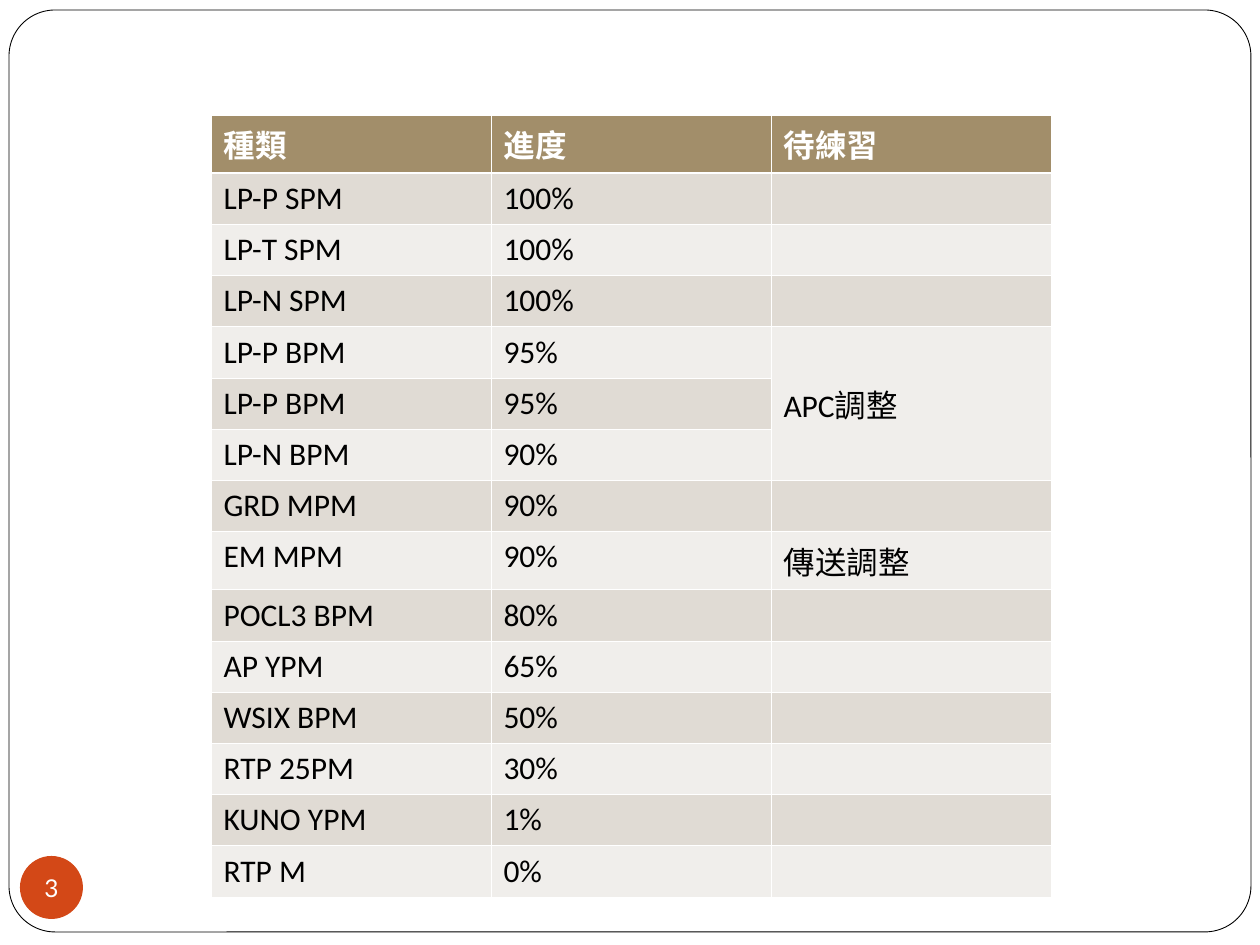
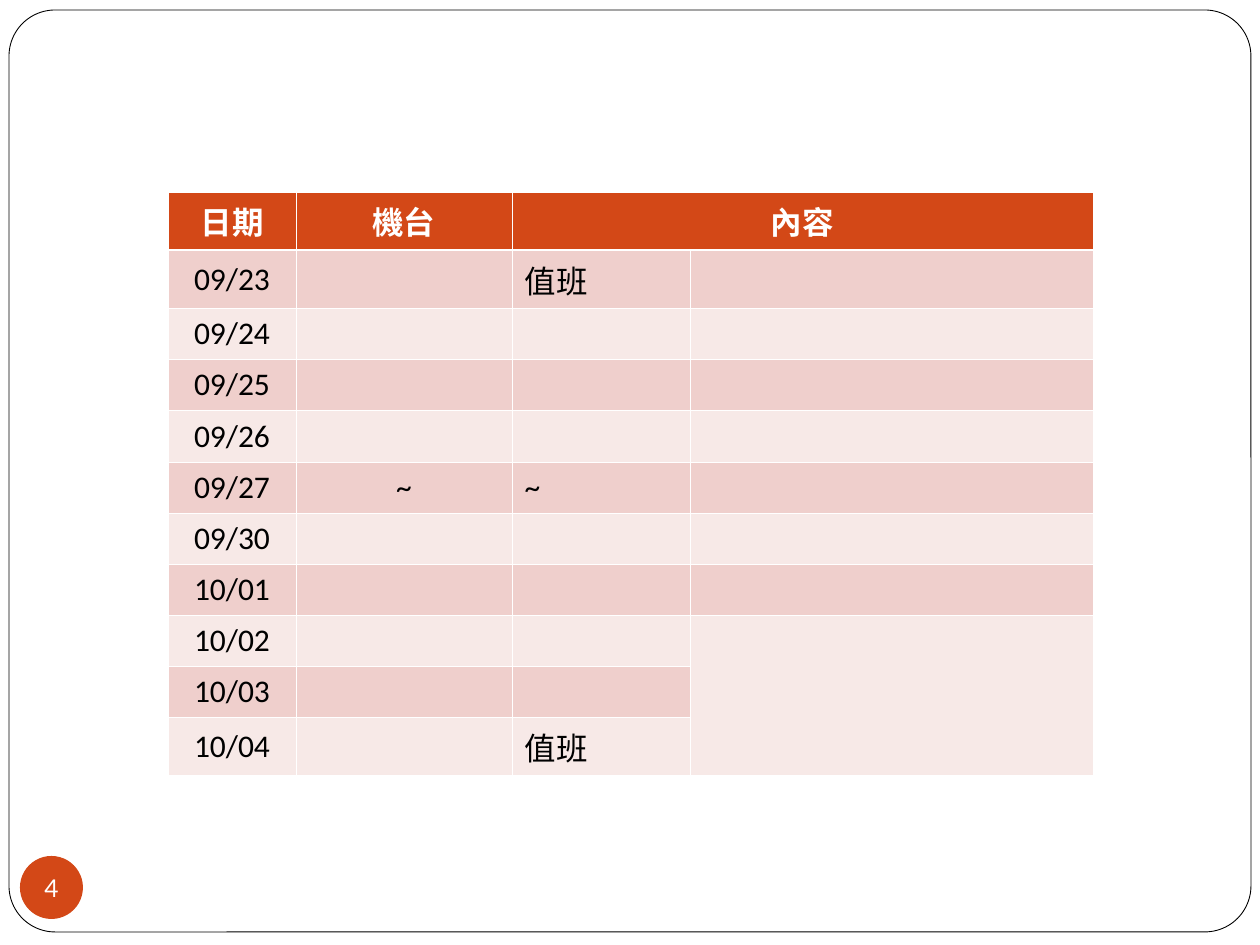
from lxml.etree import SubElement
from pptx import Presentation
from pptx.dml.color import RGBColor
from pptx.enum.shapes import MSO_SHAPE as SHAPE
from pptx.enum.text import MSO_ANCHOR as ANCHOR, PP_ALIGN as ALIGN
from pptx.oxml.ns import qn
from pptx.util import Pt

# Content: spans are (first row, first column, last row, last column)
PROGRESS = {
    "number": 3,
    "at": (211, 115, 768),
    "columns": (280, 280, 280),
    "colors": ("A28E6A", "E0DBD4", "F0EEEB"),
    "header": ("種類", "進度", "待練習"),
    "rows": [
        ("LP-P SPM", "100%", ""),
        ("LP-T SPM", "100%", ""),
        ("LP-N SPM", "100%", ""),
        ("LP-P BPM", "95%", "APC調整"),
        ("LP-P BPM", "95%", ""),
        ("LP-N BPM", "90%", ""),
        ("GRD MPM", "90%", ""),
        ("EM MPM", "90%", "傳送調整"),
        ("POCL3 BPM", "80%", ""),
        ("AP YPM", "65%", ""),
        ("WSIX BPM", "50%", ""),
        ("RTP 25PM", "30%", ""),
        ("KUNO YPM", "1%", ""),
        ("RTP M", "0%", ""),
    ],
    "spans": [(4, 2, 6, 2)],
    "centered": (),
    "middle": False,
}
SCHEDULE = {
    "number": 4,
    "at": (168, 192, 563),
    "columns": (128, 216, 178, 403),
    "colors": ("D34817", "EFCFCC", "F7E9E7"),
    "header": ("日期", "機台", "內容", ""),
    "rows": [
        ("09/23", "", "值班", ""),
        ("09/24", "", "", ""),
        ("09/25", "", "", ""),
        ("09/26", "", "", ""),
        ("09/27", "~", "~", ""),
        ("09/30", "", "", ""),
        ("10/01", "", "", ""),
        ("10/02", "", "", ""),
        ("10/03", "", "", ""),
        ("10/04", "", "值班", ""),
    ],
    "spans": [(0, 2, 0, 3), (8, 3, 10, 3)],
    "centered": (0, 1),
    "middle": True,
}

# Shared style
WHITE, BLACK, ACCENT = "FFFFFF", "000000", "D34817"
THIN, THICK = Pt(0.45), Pt(1.47)
EMU_PER_PX = 914400 / 126


def px(n):
    return round(n * EMU_PER_PX)


def rgb(color):
    return RGBColor.from_string(color)


def set_font(p, name, size, color, bold=False):
    f = p.font
    f.name, f.size, f.bold = name, Pt(size), bold
    f.color.rgb = rgb(color)


def add_shape(s, kind, box, fill):
    sp = s.shapes.add_shape(kind, *map(px, box))
    sp.shadow.inherit = False
    sp.fill.solid()
    sp.fill.fore_color.rgb = rgb(fill)
    return sp


def add_frame(s, number):
    # Rounded page outline
    sp = add_shape(s, SHAPE.ROUNDED_RECTANGLE, (9, 10, 1242, 922), WHITE)
    sp.adjustments[0] = 0.05
    sp.line.color.rgb = rgb(BLACK)
    sp.line.width = Pt(0.5)

    # Page number badge
    sp = add_shape(s, SHAPE.OVAL, (20, 856, 63, 63), ACCENT)
    sp.line.fill.background()
    tf = sp.text_frame
    tf.margin_left = tf.margin_right = tf.margin_top = tf.margin_bottom = 0
    tf.word_wrap = False
    tf.vertical_anchor = ANCHOR.MIDDLE
    p = tf.paragraphs[0]
    p.text = str(number)
    p.alignment = ALIGN.CENTER
    set_font(p, "Lato", 14, WHITE)


def set_borders(cell, top, bottom):
    tc_pr = cell._tc.get_or_add_tcPr()
    for side, width in (("L", THIN), ("R", THIN), ("T", top), ("B", bottom)):
        ln = SubElement(tc_pr, qn(f"a:ln{side}"), w=str(width))
        fill = SubElement(ln, qn("a:solidFill"))
        SubElement(fill, qn("a:srgbClr"), val=WHITE)


def add_table(s, data):
    left, top, height = data["at"]
    columns = data["columns"]
    rows = [data["header"], *data["rows"]]
    table = s.shapes.add_table(len(rows), len(columns), px(left), px(top),
                               px(sum(columns)), px(height)).table
    for column, width in zip(table.columns, columns):
        column.width = px(width)

    header_fill, *bands = data["colors"]
    for i, row in enumerate(rows):
        header = i == 0
        fill = header_fill if header else bands[(i - 1) % 2]
        for j, text in enumerate(row):
            cell = table.cell(i, j)
            set_borders(cell, THICK if i == 1 else THIN, THICK if header else THIN)
            cell.fill.solid()
            cell.fill.fore_color.rgb = rgb(fill)
            if data["middle"]:
                cell.vertical_anchor = ANCHOR.MIDDLE
            p = cell.text_frame.paragraphs[0]
            p.text = text
            if j in data["centered"] or (header and data["centered"]):
                p.alignment = ALIGN.CENTER
            set_font(p, "Calibri", 18, WHITE if header else BLACK, header)

    for r1, c1, r2, c2 in data["spans"]:
        first = table.cell(r1, c1)
        first.merge(table.cell(r2, c2))
        first.vertical_anchor = ANCHOR.MIDDLE


def main():
    prs = Presentation()
    prs.slide_width, prs.slide_height = px(1260), px(945)
    for data in (PROGRESS, SCHEDULE):
        s = prs.slides.add_slide(prs.slide_layouts[6])
        add_frame(s, data["number"])
        add_table(s, data)
    prs.save("out.pptx")


if __name__ == "__main__":
    main()
